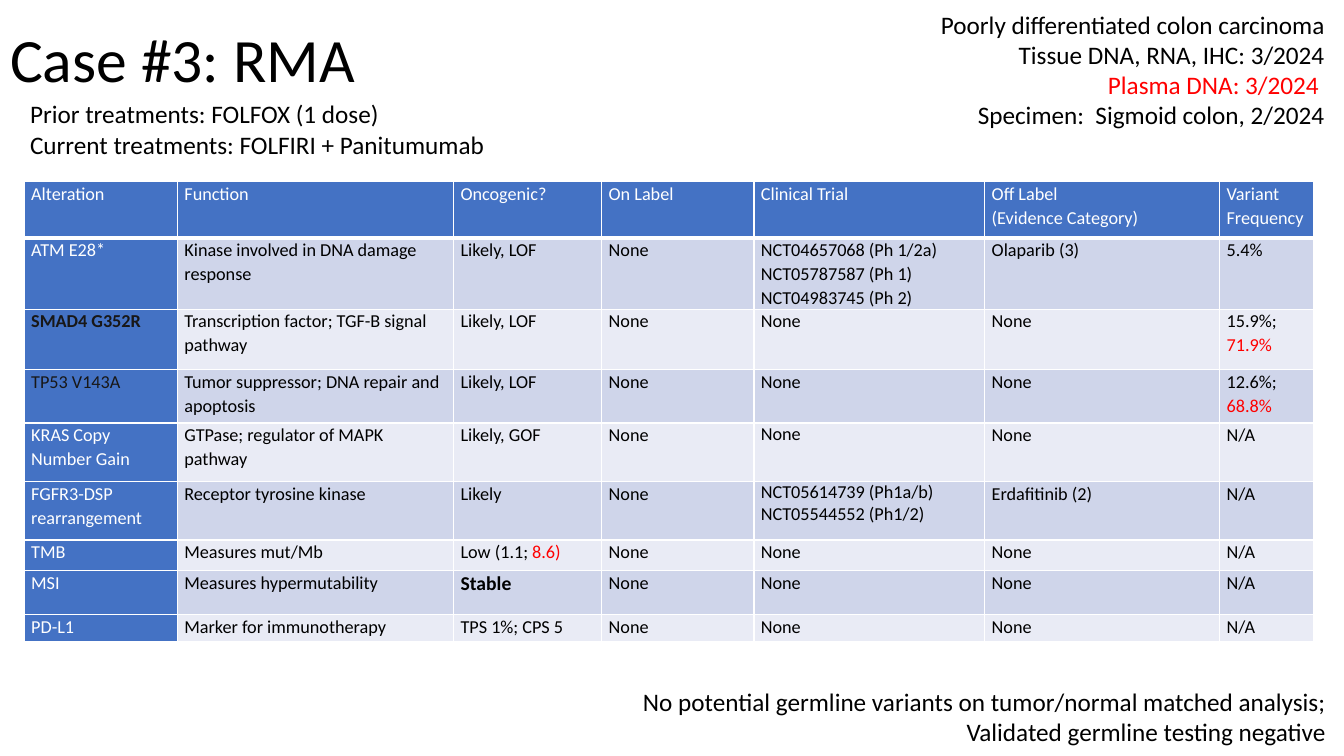
from lxml import etree
from pptx import Presentation
from pptx.dml.color import RGBColor
from pptx.enum.text import MSO_ANCHOR, MSO_AUTO_SIZE, PP_ALIGN
from pptx.oxml.ns import qn
from pptx.util import Inches, Pt

LEFT, RIGHT = PP_ALIGN.LEFT, PP_ALIGN.RIGHT
MIDDLE = MSO_ANCHOR.MIDDLE
GROW, FIXED = MSO_AUTO_SIZE.SHAPE_TO_FIT_TEXT, MSO_AUTO_SIZE.NONE
WIDTH, HEIGHT = Inches(13.333), Inches(7.5)
FONT = "Calibri"
BLACK, WHITE, RED, DARK = "000000", "FFFFFF", "FF0000", "181717"
BLUE, BANDS = "4472C4", ("E9EBF5", "CFD5EA")
TRIAL = 4

COLUMNS = [1.52, 2.74, 1.47, 1.51, 2.29, 2.33, 0.93]
ROWS = [0.56, 0.7, 0.6, 0.53, 0.58, 0.58, 0.3, 0.44, 0.27]
FINDINGS = [
    ["Alteration", "Function", "Oncogenic?", "On Label", "Clinical Trial",
     "Off Label\n(Evidence Category)", "Variant Frequency"],
    ["ATM E28*", "Kinase involved in DNA damage response", "Likely, LOF", "None",
     "NCT04657068 (Ph 1/2a)\nNCT05787587 (Ph 1)\nNCT04983745 (Ph 2)",
     "Olaparib (3)", "5.4%"],
    ["SMAD4 G352R", "Transcription factor; TGF-B signal pathway", "Likely, LOF",
     "None", "None", "None", "15.9%; |71.9%"],
    ["TP53 V143A", "Tumor suppressor; DNA repair and apoptosis", "Likely, LOF",
     "None", "None", "None", "12.6%; |68.8%"],
    ["KRAS Copy Number Gain", "GTPase; regulator of MAPK pathway", "Likely, GOF",
     "None", "None", "None", "N/A"],
    ["FGFR3-DSP rearrangement", "Receptor tyrosine kinase", "Likely", "None",
     "NCT05614739 (Ph1a/b)\nNCT05544552 (Ph1/2)", "Erdafitinib (2)", "N/A"],
    ["TMB", "Measures mut/Mb", "Low (1.1; |8.6)", "None", "None", "None", "N/A"],
    ["MSI", "Measures hypermutability", "Stable", "None", "None", "None", "N/A"],
    ["PD-L1", "Marker for immunotherapy", "TPS 1%; CPS 5", "None", "None", "None", "N/A"],
]
SPECIAL = {
    "SMAD4 G352R": {"color": DARK, "bold": True},
    "TP53 V143A": {"color": DARK},
    "Stable": {"size": 14, "bold": True},
}


def rgb(color):
    return RGBColor.from_string(color)


def percent(left, top, width, height):
    return (round(WIDTH * left / 100), round(HEIGHT * top / 100),
            round(WIDTH * width / 100), round(HEIGHT * height / 100))


def write(frame, text, size, color=BLACK, bold=False, align=LEFT, spacing=1.0):
    for number, line in enumerate(text.split("\n")):
        para = frame.paragraphs[0] if number == 0 else frame.add_paragraph()
        para.alignment = align
        para.line_spacing = spacing
        para.space_before = Pt(0)
        for index, part in enumerate(line.split("|")):
            if not part:
                continue
            span = para.add_run()
            span.text = part
            span.font.name = FONT
            span.font.size = Pt(size)
            span.font.bold = bold
            span.font.color.rgb = rgb(RED if index else color)


def add_title(page, text, area):
    title = page.shapes.title
    title.left, title.top, title.width, title.height = area
    frame = title.text_frame
    frame.auto_size = FIXED
    frame.word_wrap = True
    frame.vertical_anchor = MIDDLE
    write(frame, text, 44, spacing=0.9)


def add_note(page, text, area, align=LEFT):
    frame = page.shapes.add_textbox(*area).text_frame
    frame.word_wrap = True
    frame.auto_size = GROW
    write(frame, text, 18, align=align)


def add_borders(cell, bottom):
    properties = cell._tc.get_or_add_tcPr()
    for side, points in (("L", 1), ("R", 1), ("T", 1), ("B", bottom)):
        line = etree.SubElement(properties, qn("a:ln" + side), w=str(Pt(points)))
        fill = etree.SubElement(line, qn("a:solidFill"))
        etree.SubElement(fill, qn("a:srgbClr"), val=WHITE)


def fill_cell(cell, text, row, column):
    heading = row == 0 or column == 0
    add_borders(cell, 3 if row == 0 else 1)
    cell.fill.solid()
    cell.fill.fore_color.rgb = rgb(BLUE if heading else BANDS[row % 2])
    cell.margin_left = cell.margin_right = Inches(0.07)
    cell.margin_top = cell.margin_bottom = 0
    style = {"size": 13, "color": WHITE if heading else BLACK}
    style.update(SPECIAL.get(text, {}))
    single = column == TRIAL and row in (4, 5)
    write(cell.text_frame, text, spacing=1.0 if single else 1.07, **style)


def add_findings(page, area):
    table = page.shapes.add_table(len(ROWS), len(COLUMNS), *area).table
    table.first_row = table.horz_banding = False
    for column, width in zip(table.columns, COLUMNS):
        column.width = Inches(width)
    for row, height in zip(table.rows, ROWS):
        row.height = Inches(height)
    for row, texts in enumerate(FINDINGS):
        for column, text in enumerate(texts):
            fill_cell(table.cell(row, column), text, row, column)


def main():
    deck = Presentation()
    deck.slide_width, deck.slide_height = WIDTH, HEIGHT
    page = deck.slides.add_slide(deck.slide_layouts[5])
    add_title(page, "Case #3: RMA", percent(0, 0.53, 86.25, 15.6))
    add_findings(page, percent(1.8, 24, 95.93, 60.8))
    add_note(page, "Prior treatments: FOLFOX (1 dose)\n"
                   "Current treatments: FOLFIRI + Panitumumab",
             percent(1.5, 12.4, 98.5, 9.47))
    add_note(page, "Poorly differentiated colon carcinoma\n"
                   "Tissue DNA, RNA, IHC: 3/2024\n"
                   "|Plasma DNA: 3/2024 \n"
                   "Specimen:  Sigmoid colon, 2/2024",
             percent(44.55, 0.53, 54.75, 17.47), RIGHT)
    add_note(page, "No potential germline variants on tumor/normal matched analysis; "
                   "Validated germline testing negative",
             percent(44.03, 90.13, 55.35, 9.47), RIGHT)
    deck.save("out.pptx")


if __name__ == "__main__":
    main()
